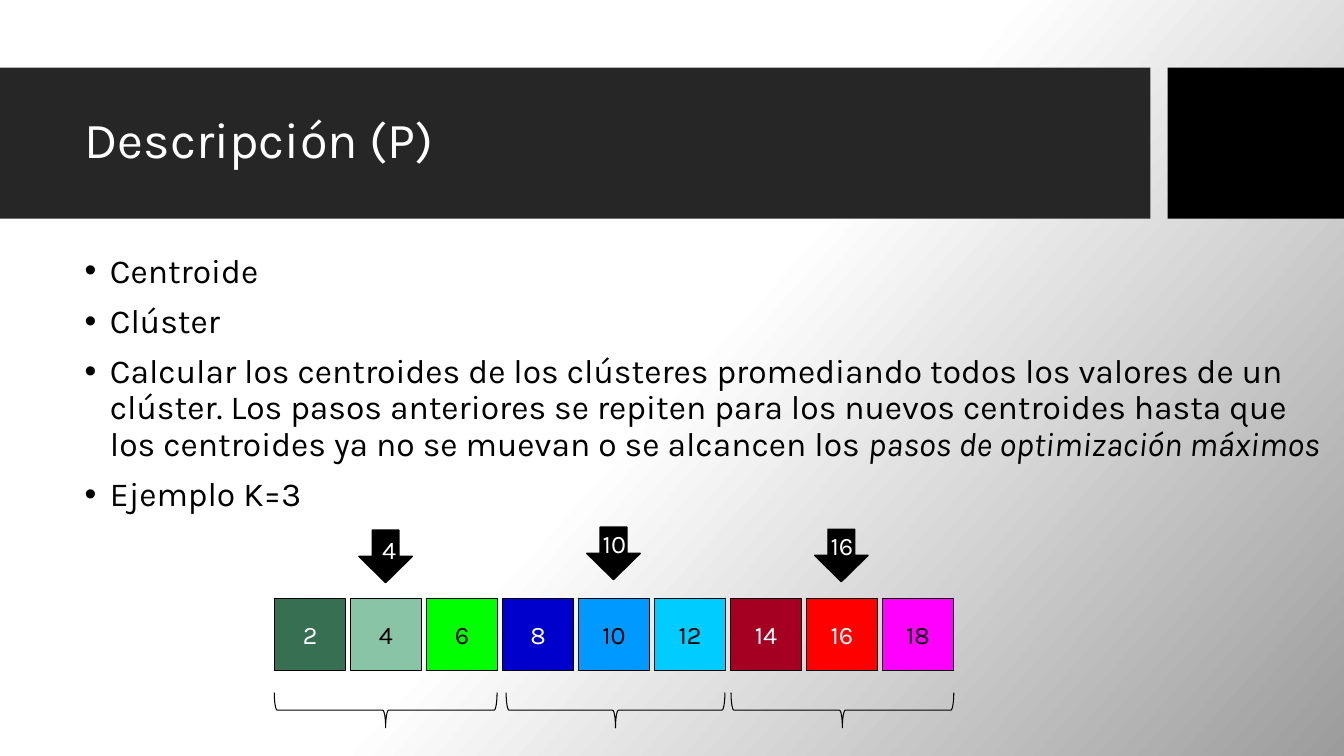
from lxml import etree
from pptx import Presentation
from pptx.dml.color import RGBColor
from pptx.enum.shapes import MSO_SHAPE
from pptx.enum.text import MSO_ANCHOR, MSO_AUTO_SIZE, PP_ALIGN
from pptx.oxml.ns import qn
from pptx.util import Emu, Pt

RECTANGLE, BRACE, ARROW = MSO_SHAPE.RECTANGLE, MSO_SHAPE.LEFT_BRACE, MSO_SHAPE.DOWN_ARROW
LEFT, CENTER = PP_ALIGN.LEFT, PP_ALIGN.CENTER
TOP, MIDDLE = MSO_ANCHOR.TOP, MSO_ANCHOR.MIDDLE
NO_AUTOFIT = MSO_AUTO_SIZE.NONE

PIXEL = 9144
FONT = "Karla"
WHITE = RGBColor(0xFF, 0xFF, 0xFF)
BLACK = RGBColor(0x00, 0x00, 0x00)
GREY = RGBColor(0x9C, 0x9C, 0x9C)
CHARCOAL = RGBColor(0x26, 0x26, 0x26)
PINE = RGBColor(0x37, 0x6F, 0x53)
SAGE = RGBColor(0x8A, 0xC4, 0xA7)
LIME = RGBColor(0x00, 0xFF, 0x00)
NAVY = RGBColor(0x00, 0x00, 0xCC)
AZURE = RGBColor(0x00, 0x99, 0xFF)
CYAN = RGBColor(0x00, 0xCC, 0xFF)
WINE = RGBColor(0xA5, 0x00, 0x21)
RED = RGBColor(0xFF, 0x00, 0x00)
MAGENTA = RGBColor(0xFF, 0x00, 0xFF)

CELLS = [(PINE, WHITE), (SAGE, BLACK), (LIME, BLACK),
         (NAVY, WHITE), (AZURE, BLACK), (CYAN, BLACK),
         (WINE, WHITE), (RED, WHITE), (MAGENTA, BLACK)]
BRACES = [(0, 221), (230, 217), (453, 221)]
CENTROIDS = [("4", 84, 3), ("10", 310, 0), ("16", 536, 2)]
BULLETS = [
    ["Centroide"],
    ["Clúster"],
    ["Calcular los centroides de los clústeres promediando todos los valores de un clúster. "
     "Los pasos anteriores se repiten para los nuevos centroides hasta que los centroides "
     "ya no se muevan o se alcancen los ", "pasos de optimización máximos"],
    ["Ejemplo K=3"],
]


def to_emu(*lengths):
    """Turn pixel lengths into EMU."""
    return [Emu(round(length * PIXEL)) for length in lengths]


def place(shape, box):
    """Move a placeholder to a box in pixels."""
    shape.left, shape.top, shape.width, shape.height = to_emu(*box)


def set_font(paragraph, size, color):
    """Apply the slide's font to a paragraph."""
    paragraph.font.name = FONT
    paragraph.font.size = Pt(size)
    paragraph.font.color.rgb = color


def add_block(slide, kind, box, fill=None, line_width=None):
    """Add a preset shape with optional fill and black outline."""
    shape = slide.shapes.add_shape(kind, *to_emu(*box))
    shape.shadow.inherit = False
    if fill is None:
        shape.fill.background()
    else:
        shape.fill.solid()
        shape.fill.fore_color.rgb = fill
    if line_width is None:
        shape.line.fill.background()
    else:
        shape.line.color.rgb = BLACK
        shape.line.width = Pt(line_width)
    return shape


def write_label(shape, text, color, alignment=CENTER, anchor=MIDDLE):
    """Write a single number into a shape."""
    frame = shape.text_frame
    frame.word_wrap = True
    frame.vertical_anchor = anchor
    paragraph = frame.paragraphs[0]
    paragraph.text = text
    paragraph.alignment = alignment
    set_font(paragraph, 18, color)


def paint_background(slide):
    """Fill the slide with a diagonal gradient from white to grey."""
    fill = slide.background.fill
    fill.gradient()
    fill.gradient_angle = 318
    for stop, position, color in zip(fill.gradient_stops, (0.5, 1), (WHITE, GREY)):
        stop.position = position
        stop.color.rgb = color


def build_header(slide, box):
    """Draw the title band with its black end block."""
    left, top, width, height = box
    title = slide.shapes.title
    band = add_block(slide, RECTANGLE, (left, top, width - 192, height), CHARCOAL)
    end_block = add_block(slide, RECTANGLE, (left + width - 175, top, 175, height), BLACK)
    for bar in (band, end_block):
        title.element.addprevious(bar.element)
    place(title, (left + 74, top + 15, 1051, 118))
    frame = title.text_frame
    frame.auto_size = NO_AUTOFIT
    frame.vertical_anchor = MIDDLE
    paragraph = frame.paragraphs[0]
    paragraph.text = "Descripción (P)"
    paragraph.alignment = LEFT
    paragraph.line_spacing = 0.9
    set_font(paragraph, 36, WHITE)


def build_list(slide, box):
    """Fill the body placeholder with the bulleted list."""
    body = slide.placeholders[1]
    place(body, box)
    frame = body.text_frame
    frame.auto_size = NO_AUTOFIT
    frame.vertical_anchor = TOP
    for index, pieces in enumerate(BULLETS):
        paragraph = frame.add_paragraph() if index else frame.paragraphs[0]
        properties = paragraph._p.get_or_add_pPr()
        indent = to_emu(25)[0]
        properties.set("marL", str(indent))
        properties.set("indent", str(-indent))
        etree.SubElement(properties, qn("a:buChar")).set("char", "•")
        paragraph.line_spacing = 0.9
        paragraph.space_before = Pt(10 if index else 0)
        set_font(paragraph, 24, BLACK)
        for position, piece in enumerate(pieces):
            run = paragraph.add_run()
            run.text = piece
            if position:
                run.font.italic = True


def build_clusters(slide, box):
    """Draw the number cells, their cluster braces and the centroid arrows."""
    left, top, width, height = box
    side, brace_depth = 71, 35
    pitch = (width - side) / (len(CELLS) - 1)
    for index, (fill, color) in enumerate(CELLS):
        cell = add_block(slide, RECTANGLE, (left + index * pitch, top + 71, side, side), fill, 1)
        write_label(cell, str(2 * index + 2), color)
    for offset, span in BRACES:
        center_x = left + offset + span / 2
        center_y = top + height - brace_depth / 2
        brace = add_block(slide, BRACE, (center_x - brace_depth / 2, center_y - span / 2,
                                         brace_depth, span), line_width=0.75)
        brace.rotation = 270
    for text, offset, drop in CENTROIDS:
        x, y = left + offset, top + drop
        arrow = add_block(slide, ARROW, (x, y, 53, 52), BLACK, 1)
        if len(text) == 1:
            write_label(arrow, text, WHITE)
        else:
            label = slide.shapes.add_textbox(*to_emu(x + 6, y - 4, 47, 40))
            write_label(label, text, WHITE, LEFT, TOP)


def main():
    """Build the slide and save it."""
    presentation = Presentation()
    presentation.slide_width, presentation.slide_height = to_emu(1333, 750)
    slide = presentation.slides.add_slide(presentation.slide_layouts[1])
    paint_background(slide)
    build_header(slide, (0, 67, 1333, 150))
    build_list(slide, (74, 247, 1259, 394))
    build_clusters(slide, (272, 523, 674, 199))
    presentation.save("out.pptx")


if __name__ == "__main__":
    main()
